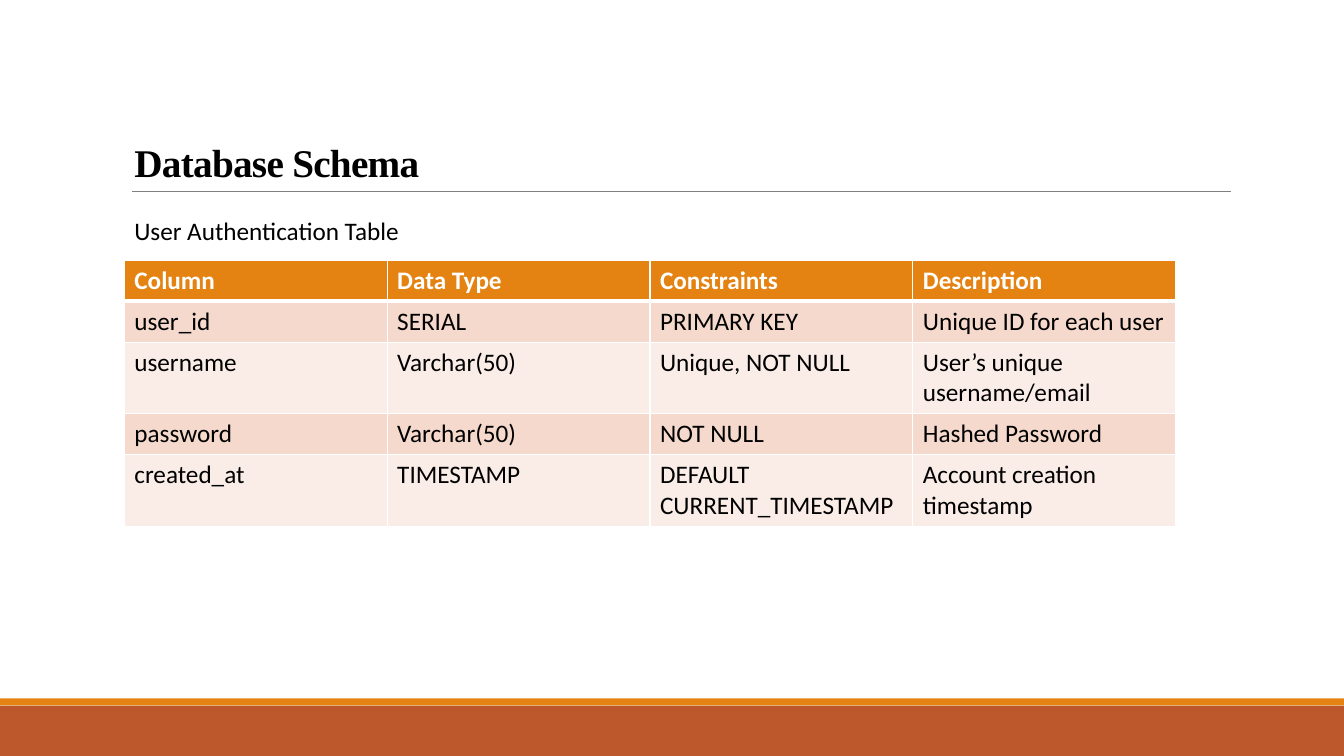
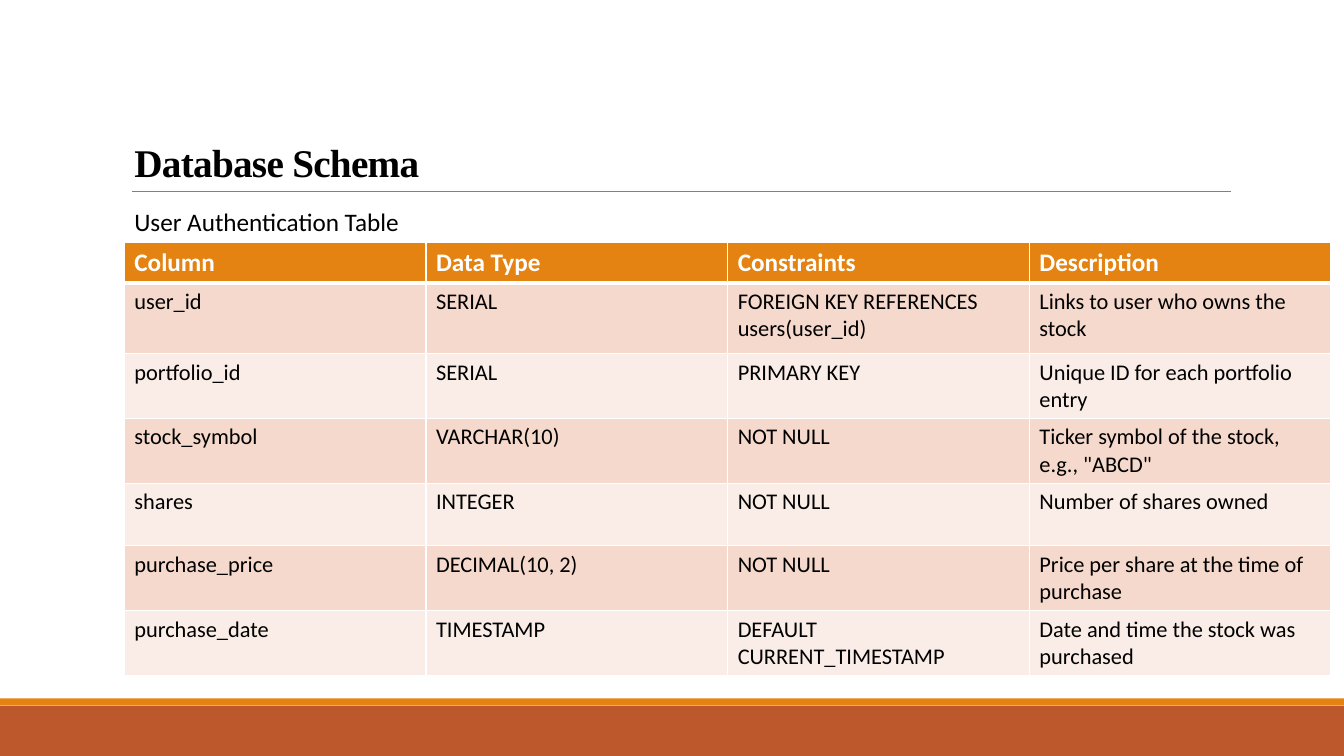
from lxml import etree
from pptx import Presentation
from pptx.dml.color import RGBColor
from pptx.enum import shapes, text
from pptx.oxml.ns import qn
from pptx.util import Pt

# Shared look
WIDTH, HEIGHT = 960, 540
BLACK, WHITE, GREY = "000000", "FFFFFF", "808080"
ORANGE, RUST = "E48312", "BD582C"
ROW_FILLS = ("F5D9CC", "FAEDE7")
TITLE_FONT, BODY_FONT = "Times New Roman", "Calibri"
LEFT = 88.8
TITLE_BOX = (LEFT, 77, 792, 59.4)
RULE = (94.5, 879, 137)
HEADINGS = ("Column", "Data Type", "Constraints", "Description")

USER_ROWS = [
    ("user_id", "SERIAL", "PRIMARY KEY", "Unique ID for each user"),
    ("username", "Varchar(50)", "Unique, NOT NULL", "User’s unique username/email"),
    ("password", "Varchar(50)", "NOT NULL", "Hashed Password"),
    ("created_at", "TIMESTAMP", "DEFAULT CURRENT_TIMESTAMP", "Account creation timestamp"),
]
PORTFOLIO_ROWS = [
    ("user_id", "SERIAL", "FOREIGN KEY REFERENCES users(user_id)",
     "Links to user who owns the stock"),
    ("portfolio_id", "SERIAL", "PRIMARY KEY", "Unique ID for each portfolio entry"),
    ("stock_symbol", "VARCHAR(10)", "NOT NULL", 'Ticker symbol of the stock, e.g., "ABCD"'),
    ("shares", "INTEGER", "NOT NULL", "Number of shares owned"),
    ("purchase_price", "DECIMAL(10, 2)", "NOT NULL", "Price per share at the time of purchase"),
    ("purchase_date", "TIMESTAMP", "DEFAULT CURRENT_TIMESTAMP",
     "Date and time the stock was purchased"),
]


def rgb(value):
    return RGBColor.from_string(value)


def points(*lengths):
    return [Pt(length) for length in lengths]


def set_font(p, name, size, color, bold=False):
    p.font.name, p.font.size, p.font.bold = name, Pt(size), bold
    p.font.color.rgb = rgb(color)


def add_frame(slide):
    """Footer bands and the rule under the title."""
    for top, height, color in ((504, 36, RUST), (498.8, 5.04, ORANGE)):
        sp = slide.shapes.add_shape(shapes.MSO_SHAPE.RECTANGLE,
                                    *points(0, top, WIDTH, height))
        sp.shadow.inherit = False
        sp.fill.solid()
        sp.fill.fore_color.rgb = rgb(color)
        sp.line.fill.background()
    start, end, y = RULE
    rule = slide.shapes.add_connector(shapes.MSO_CONNECTOR.STRAIGHT,
                                      *points(start, y, end, y))
    rule.line.color.rgb = rgb(GREY)
    rule.line.width = Pt(0.5)
    etree.SubElement(rule.element.spPr, qn("a:effectLst"))


def add_title(slide, title, box):
    sp = slide.shapes.title
    sp.left, sp.top, sp.width, sp.height = points(*box)
    tf = sp.text_frame
    tf.text = title
    tf.auto_size = text.MSO_AUTO_SIZE.NONE
    tf.vertical_anchor = text.MSO_ANCHOR.BOTTOM
    p = tf.paragraphs[0]
    p.alignment = text.PP_ALIGN.LEFT
    p.line_spacing = 0.85
    set_font(p, TITLE_FONT, 28, BLACK, bold=True)
    p.runs[0].font._element.set("spc", "-50")


def add_caption(slide, caption, box):
    tf = slide.shapes.add_textbox(*points(*box)).text_frame
    tf.word_wrap = True
    tf.text = caption
    set_font(tf.paragraphs[0], BODY_FONT, 18, BLACK)


def set_borders(cell, **widths):
    """White cell borders; widths in points by side, L, R, T and B in that order."""
    tcPr = cell._tc.get_or_add_tcPr()
    for side, width in widths.items():
        ln = etree.SubElement(tcPr, qn(f"a:ln{side}"), w=str(Pt(width)))
        fill = etree.SubElement(ln, qn("a:solidFill"))
        etree.SubElement(fill, qn("a:srgbClr"), val=WHITE)


def add_schema_table(slide, rows, box, heights, size):
    table = slide.shapes.add_table(len(rows) + 1, len(HEADINGS), *points(*box)).table
    for column in table.columns:
        column.width = Pt(box[2] / len(HEADINGS))
    for i, (values, height) in enumerate(zip([HEADINGS, *rows], heights)):
        table.rows[i].height = Pt(height)
        header = i == 0
        for cell, value in zip(table.rows[i].cells, values):
            set_borders(cell, L=1, R=1, T=3 if i == 1 else 1, B=3 if header else 1)
            cell.fill.solid()
            cell.fill.fore_color.rgb = rgb(ORANGE if header else ROW_FILLS[(i - 1) % 2])
            cell.text = value
            set_font(cell.text_frame.paragraphs[0], BODY_FONT,
                     18 if header else size, WHITE if header else BLACK, header)


def add_schema_slide(prs, rows, caption_top, table_top, width, heights, size):
    slide = prs.slides.add_slide(prs.slide_layouts[5])
    add_frame(slide)
    add_title(slide, "Database Schema", TITLE_BOX)
    add_schema_table(slide, rows, (LEFT, table_top, width, sum(heights)), heights, size)
    add_caption(slide, "User Authentication Table", (LEFT, caption_top, 267, 29))


def main():
    prs = Presentation()
    prs.slide_width, prs.slide_height = points(WIDTH, HEIGHT)
    add_schema_slide(prs, USER_ROWS, 150.5, 186, 751,
                     (29.2, 29.2, 51.2, 29.2, 51.2), 18)
    add_schema_slide(prs, PORTFOLIO_ROWS, 144, 173, 862,
                     (29.2, 50.4, 46, 46, 44.6, 46, 46), 16)
    prs.save("out.pptx")


if __name__ == "__main__":
    main()
